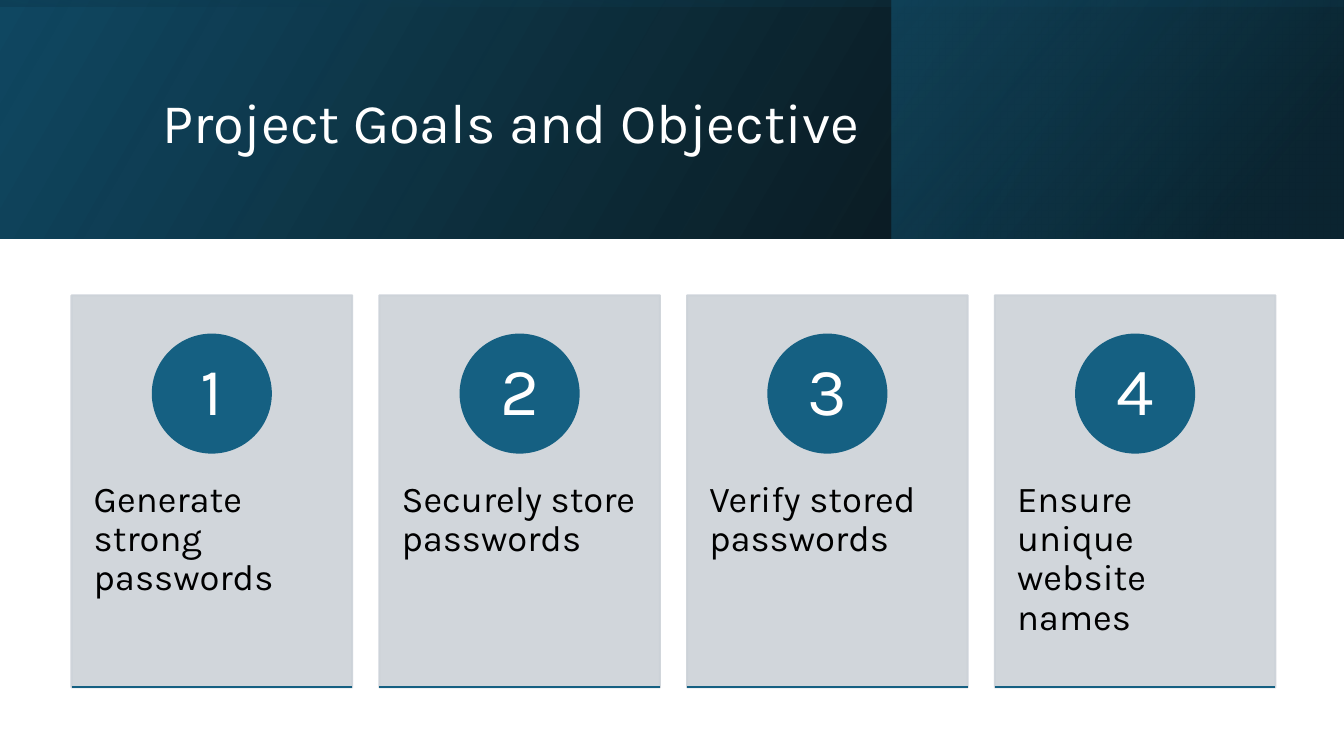
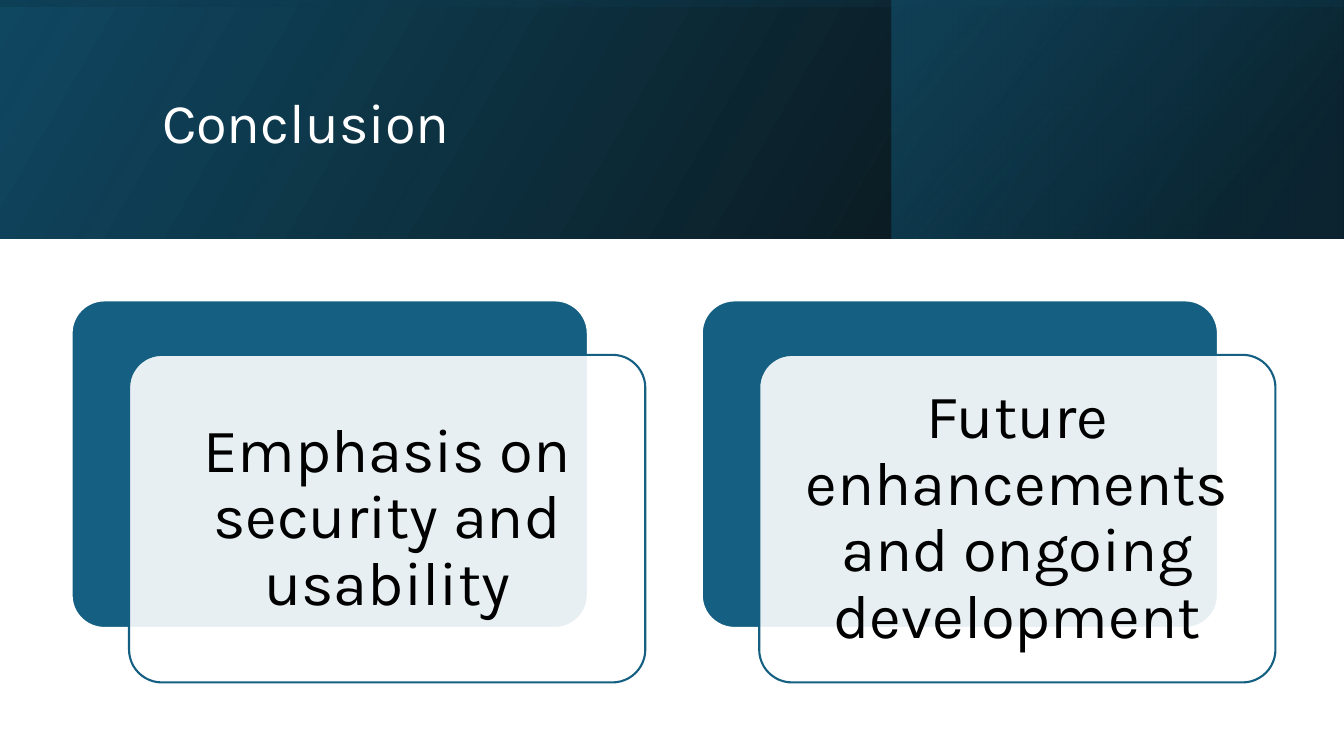
from lxml import etree
from pptx import Presentation
from pptx.dml.color import RGBColor
from pptx.enum.shapes import MSO_CONNECTOR, MSO_SHAPE
from pptx.enum.text import MSO_ANCHOR, PP_ALIGN
from pptx.oxml import parse_xml
from pptx.oxml.ns import nsdecls, qn
from pptx.util import Inches, Pt

RECT, ROUNDED, OVAL = MSO_SHAPE.RECTANGLE, MSO_SHAPE.ROUNDED_RECTANGLE, MSO_SHAPE.OVAL
LEFT, CENTER = PP_ALIGN.LEFT, PP_ALIGN.CENTER
TOP, MIDDLE = MSO_ANCHOR.TOP, MSO_ANCHOR.MIDDLE

WHITE = RGBColor(0xFF, 0xFF, 0xFF)
BLACK = RGBColor(0x00, 0x00, 0x00)
BLUE = RGBColor(0x15, 0x60, 0x82)
NAVY = RGBColor(0x10, 0x48, 0x62)
DEEP = RGBColor(0x0B, 0x30, 0x41)
GRAY = RGBColor(0xCC, 0xD2, 0xD8)
FONT = "Karla"
LINE_WIDTH = Pt(1.5)

WIDTH, HEIGHT = 13.33, 7.5
BAND_H = 2.37
MARGIN = 0.71
CONTENT_W = 11.94

# Title bands: left, top, width, height, rotation, angle, stops (position, colour, opacity)
BANDS = [
    (0, 0, WIDTH, BAND_H, 0, 330, [(0, BLACK, 96), (100, NAVY, 100)]),
    (8.84, 0, 4.48, BAND_H, 0, 320, [(19, DEEP, 68), (100, BLUE, 48)]),
    ((WIDTH - BAND_H) / 2, (BAND_H - WIDTH) / 2, BAND_H, WIDTH, 270, 350,
     [(23, NAVY, 16), (99, BLACK, 45)]),
]
TITLES = ["Project Goals and Objective", "Conclusion"]
GOALS = ["Generate strong passwords", "Securely store passwords",
         "Verify stored passwords", "Ensure unique website names"]
CONCLUSIONS = ["Emphasis on security and usability",
               "Future enhancements and ongoing development"]


def add_box(s, kind, x, y, w, h, fill, line, opacity=()):
    """Add a filled shape; opacity gives the percentages for fill and line."""
    sp = s.shapes.add_shape(kind, Inches(x), Inches(y), Inches(w), Inches(h))
    sp.shadow.inherit = False
    sp.fill.solid()
    sp.fill.fore_color.rgb = fill
    sp.line.color.rgb = line
    sp.line.width = LINE_WIDTH
    if kind == ROUNDED:
        sp.adjustments[0] = 0.1
    for clr, percent in zip(sp._element.spPr.iter(qn("a:srgbClr")), opacity):
        etree.SubElement(clr, qn("a:alpha")).set("val", str(percent * 1000))
    return sp


def write(sp, text, size, color, align, anchor, insets):
    """Set the text of a shape; insets are left/right, top and bottom."""
    tf = sp.text_frame
    tf.word_wrap = True
    tf.vertical_anchor = anchor
    side, top, bottom = insets
    tf.margin_left = tf.margin_right = Inches(side)
    tf.margin_top, tf.margin_bottom = Inches(top), Inches(bottom)
    p = tf.paragraphs[0]
    p.text = text
    p.alignment = align
    p.line_spacing = 0.9
    p.font.name = FONT
    p.font.size = Pt(size)
    p.font.color.rgb = color


prs = Presentation()
prs.slide_width, prs.slide_height = Inches(WIDTH), Inches(HEIGHT)

# Title bands and titles
for title in TITLES:
    s = prs.slides.add_slide(prs.slide_layouts[6])
    for x, y, w, h, rotation, angle, stops in BANDS:
        band = s.shapes.add_shape(RECT, Inches(x), Inches(y), Inches(w), Inches(h))
        band.shadow.inherit = False
        band.line.fill.background()
        band.rotation = rotation
        spPr = band._element.spPr
        spPr.find(qn("a:xfrm")).set("flipH", "1")
        stop_xml = "".join(
            f'<a:gs pos="{pos * 1000}"><a:srgbClr val="{color}">'
            f'<a:alpha val="{opacity * 1000}"/></a:srgbClr></a:gs>'
            for pos, color, opacity in stops)
        spPr.find(qn("a:prstGeom")).addnext(parse_xml(
            f'<a:gradFill {nsdecls("a")} rotWithShape="1"><a:gsLst>{stop_xml}</a:gsLst>'
            f'<a:lin ang="{angle * 60000}" scaled="0"/></a:gradFill>'))
    box = s.shapes.add_textbox(Inches(1.51), Inches(0.38), Inches(10.63), Inches(1.72))
    write(box, title, 40, WHITE, LEFT, MIDDLE, (0.1, 0.05, 0.05))

goals_slide, conclusion_slide = prs.slides

# Four numbered cards
CARD_GAP = 0.27
CARD_W = (CONTENT_W - CARD_GAP * (len(GOALS) - 1)) / len(GOALS)
CARD_TOP, CARD_H = 2.93, 3.89
CIRCLE = 1.17
for i, goal in enumerate(GOALS):
    x = MARGIN + i * (CARD_W + CARD_GAP)
    card = add_box(goals_slide, RECT, x, CARD_TOP, CARD_W, CARD_H, GRAY, GRAY, (90, 90))
    write(card, goal, 26, BLACK, LEFT, TOP, (0.22, 1.84, 0.36))
    circle = add_box(goals_slide, OVAL, x + (CARD_W - CIRCLE) / 2, CARD_TOP + CIRCLE / 3,
                     CIRCLE, CIRCLE, BLUE, BLUE)
    write(circle, str(i + 1), 48, WHITE, CENTER, MIDDLE, (0.09, 0.01, 0.01))
    bottom = Inches(CARD_TOP + CARD_H)
    rule = goals_slide.shapes.add_connector(
        MSO_CONNECTOR.STRAIGHT, Inches(x), bottom, Inches(x + CARD_W), bottom)
    rule.line.color.rgb = BLUE
    rule.line.width = LINE_WIDTH
    etree.SubElement(rule._element.spPr, qn("a:effectLst"))

# Two stacked panels
PANEL_W, PANEL_H, PANEL_TOP = 5.12, 3.25, 2.98
SHIFT_X, SHIFT_Y = 0.57, 0.54
PANEL_PITCH = CONTENT_W - PANEL_W - SHIFT_X
for i, conclusion in enumerate(CONCLUSIONS):
    x = MARGIN + i * PANEL_PITCH
    add_box(conclusion_slide, ROUNDED, x, PANEL_TOP, PANEL_W, PANEL_H, BLUE, WHITE)
    front = add_box(conclusion_slide, ROUNDED, x + SHIFT_X, PANEL_TOP + SHIFT_Y,
                    PANEL_W, PANEL_H, WHITE, BLUE, (90,))
    write(front, conclusion, 44, BLACK, CENTER, MIDDLE, (0.18, 0.18, 0.18))

prs.save("out.pptx")
